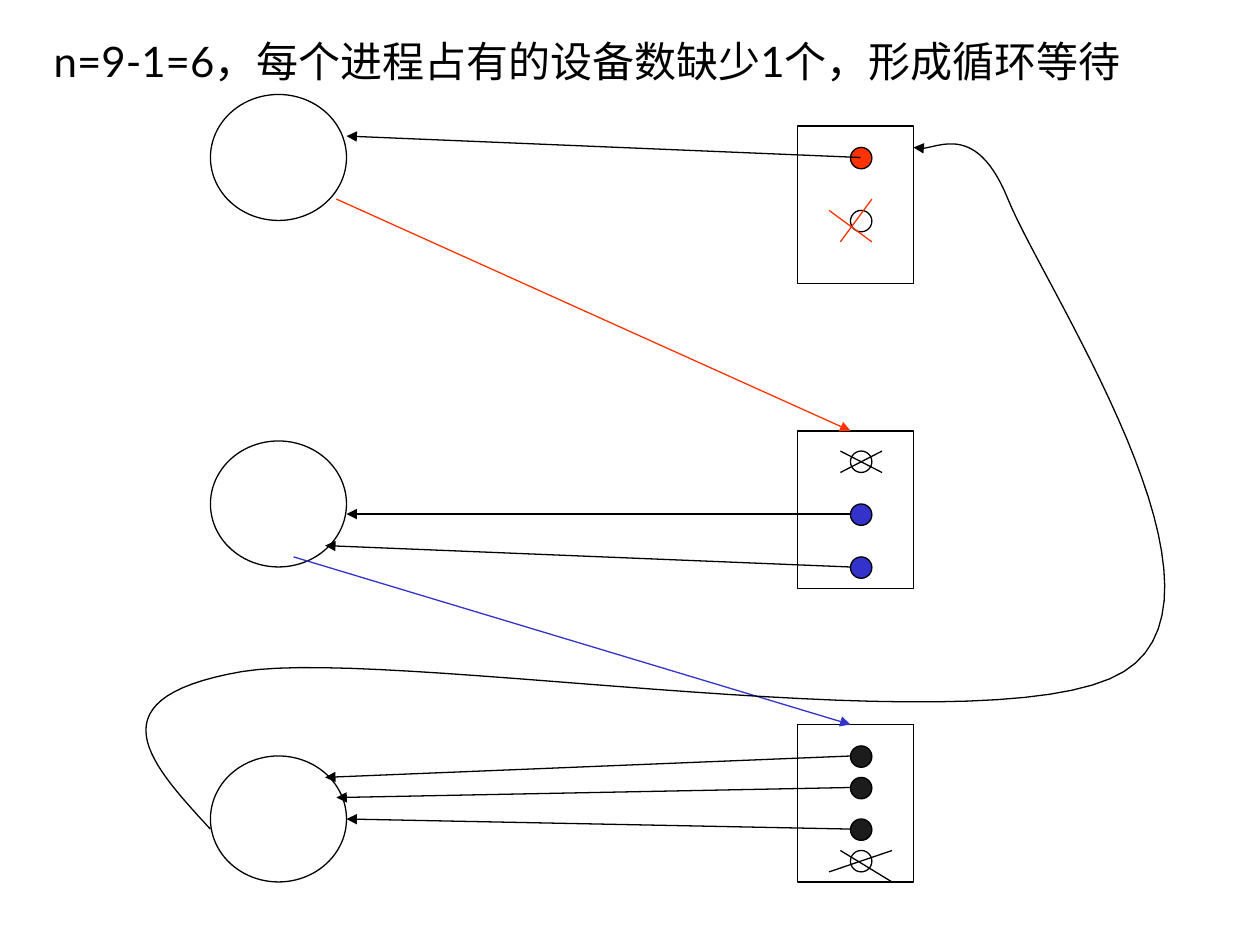
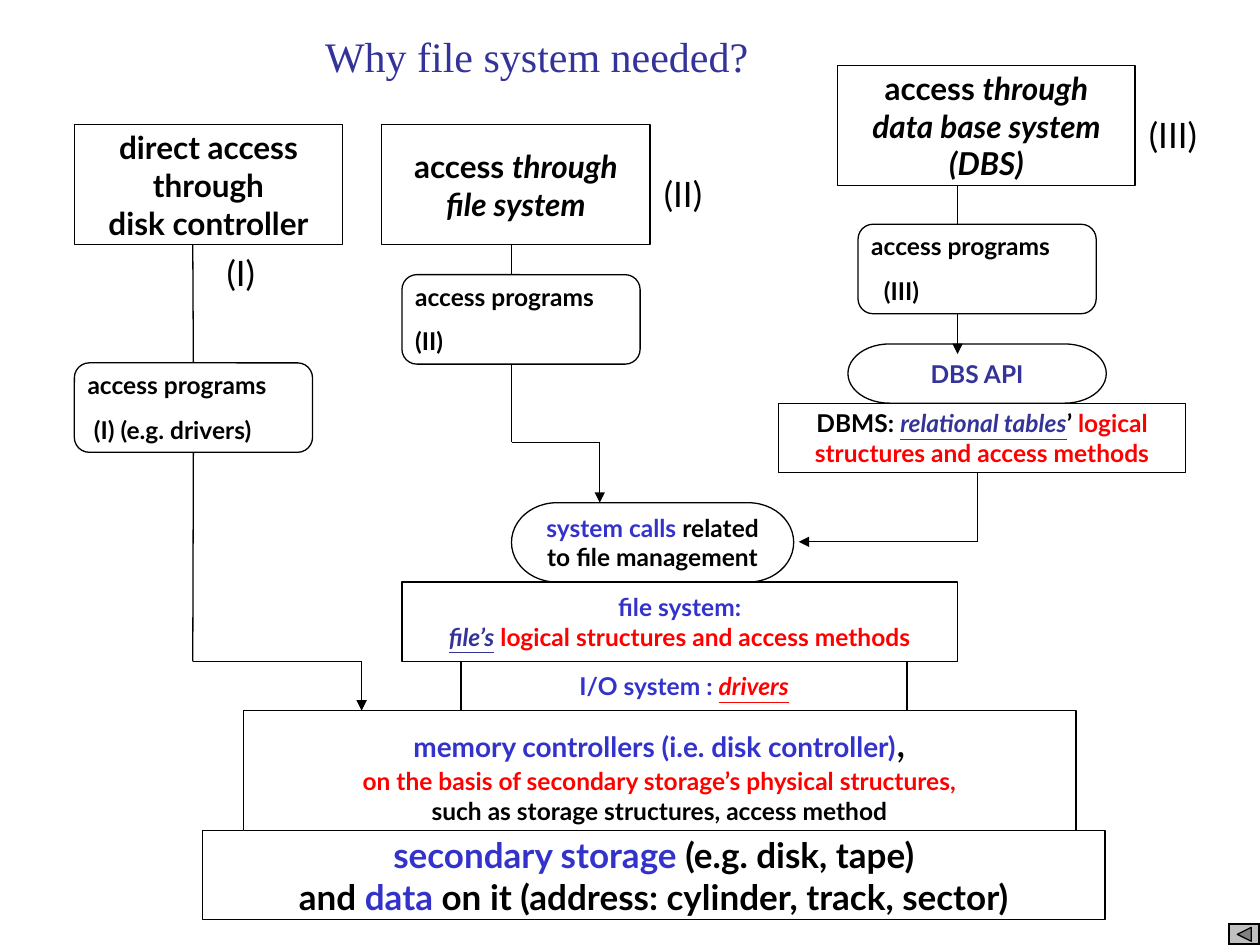
from lxml import etree
from pptx import Presentation
from pptx.dml.color import RGBColor
from pptx.enum.shapes import MSO_CONNECTOR, MSO_SHAPE
from pptx.enum.text import MSO_ANCHOR, MSO_AUTO_SIZE, PP_ALIGN
from pptx.oxml.ns import qn
from pptx.util import Inches, Pt

RECT, ROUND = MSO_SHAPE.RECTANGLE, MSO_SHAPE.ROUNDED_RECTANGLE
OVAL, PILL = MSO_SHAPE.OVAL, MSO_SHAPE.FLOWCHART_TERMINATOR
BEVEL, TRI = MSO_SHAPE.BEVEL, MSO_SHAPE.ISOSCELES_TRIANGLE
LEFT, MID = PP_ALIGN.LEFT, PP_ALIGN.CENTER
STRAIGHT = MSO_CONNECTOR.STRAIGHT

rgb = RGBColor.from_string
BLACK, WHITE, DARK, GREY = "000000", "FFFFFF", "1C1C1C", "C0C0C0"
BLUE, NAVY, RED, FLAME = "3333CC", "333399", "FF0000", "FF3300"
ITAL = {"italic": True}
MARK = {"italic": True, "underline": True}


def box(slide, kind, place, fill=None, paras=(), size=14, bold=True):
    """Add a shape, or a plain text box when kind is None."""
    spot = [Inches(v) for v in place]
    if kind is None:
        shape = slide.shapes.add_textbox(*spot)
    else:
        shape = slide.shapes.add_shape(kind, *spot)
        shape.shadow.inherit = False
        shape.line.color.rgb = rgb(BLACK)
        shape.line.width = Pt(0.75)
        if fill:
            shape.fill.solid()
            shape.fill.fore_color.rgb = rgb(fill)
        else:
            shape.fill.background()
    frame = shape.text_frame
    frame.word_wrap = kind == ROUND
    frame.vertical_anchor = MSO_ANCHOR.MIDDLE
    if kind in (None, ROUND):
        frame.vertical_anchor = MSO_ANCHOR.TOP
    for n, runs in enumerate(paras):
        para = frame.add_paragraph() if n else frame.paragraphs[0]
        para.alignment = LEFT if kind in (None, ROUND) else MID
        for text, color, *more in runs:
            run = para.add_run()
            run.text = text
            look = {"name": "Lato", "size": Pt(size), "bold": bold}
            for part in more:
                look.update(part)
            for key, val in look.items():
                setattr(run.font, key, val)
            run.font.color.rgb = rgb(color)
    return shape


def link(slide, ends, color=BLACK, arrow=False):
    """Add a straight line from (x1, y1) to (x2, y2)."""
    line = slide.shapes.add_connector(STRAIGHT, *[Inches(v) for v in ends])
    line.line.color.rgb = rgb(color)
    line.line.width = Pt(0.75)
    if arrow:
        etree.SubElement(line.line._get_or_add_ln(), qn("a:tailEnd"), type="triangle")
    etree.SubElement(line._element.spPr, qn("a:effectLst"))
    return line


prs = Presentation()
prs.slide_width, prs.slide_height = Inches(10), Inches(7.5)

# Titles
titles = [
    (" n=9-1=6，每个进程占有的设备数缺少1个，形成循环等待", (0.24, 0.23, 8.9, 0.9),
     "Lato", BLACK, LEFT, MSO_ANCHOR.TOP),
    ("Why file system needed?", (0, 0, 8.52, 0.69),
     "Times New Roman", NAVY, MID, MSO_ANCHOR.BOTTOM),
]
slides = []
for text, place, face, color, align, anchor in titles:
    slide = prs.slides.add_slide(prs.slide_layouts[5])
    title = slide.shapes.title
    title.left, title.top, title.width, title.height = [Inches(v) for v in place]
    frame = title.text_frame
    frame.text = text
    frame.word_wrap = True
    frame.auto_size = MSO_AUTO_SIZE.NONE
    frame.vertical_anchor = anchor
    para = frame.paragraphs[0]
    para.alignment = align
    for key, val in {"name": face, "size": Pt(24), "bold": False}.items():
        setattr(para.font, key, val)
    para.font.color.rgb = rgb(color)
    slides.append(slide)
wait, files = slides

# Slide 1: processes, device groups and their devices
for top in (0.75, 3.5, 6):
    box(wait, OVAL, (1.67, top, 1.08, 1))
groups = [
    (1, [(1.17, FLAME), (1.67, None)]),
    (3.42, [(3.58, None), (4, BLUE), (4.42, BLUE)]),
    (5.75, [(5.92, DARK), (6.17, DARK), (6.5, DARK), (6.75, None)]),
]
for top, dots in groups:
    box(wait, RECT, (6.33, top, 0.92, 1.25))
    for y, fill in dots:
        box(wait, OVAL, (6.75, y, 0.17, 0.17), fill)

# Held devices
for ends in [(6.83, 1.25, 2.75, 1.08), (6.75, 4.08, 2.75, 4.08),
             (6.75, 4.5, 2.58, 4.33), (6.75, 6, 2.58, 6.17),
             (6.75, 6.25, 2.67, 6.33), (6.75, 6.58, 2.75, 6.5)]:
    link(wait, ends, arrow=True)

# Requests
link(wait, (2.67, 1.58, 6.75, 3.42), FLAME, True)
link(wait, (2.33, 4.42, 6.75, 5.75), BLUE, True)

# Crosses on missing devices
for color, ends in [
    (FLAME, (6.58, 1.67, 6.92, 1.92)), (FLAME, (6.92, 1.58, 6.67, 1.92)),
    (BLACK, (6.67, 3.58, 7, 3.75)), (BLACK, (7, 3.58, 6.67, 3.75)),
    (BLACK, (6.67, 6.75, 7.08, 7)), (BLACK, (7.08, 6.75, 6.58, 6.92)),
]:
    link(wait, ends, color)

# Curved request that closes the loop, as short steps along cubic curves
start = (1.67, 6.58)
curves = [
    ((1.19, 6.06), (0.71, 5.54), (1.92, 5.33)),
    ((3.12, 5.13), (7.9, 5.96), (8.92, 5.33)),
    ((9.93, 4.71), (8.28, 2.28), (8, 1.58)),
    ((7.72, 0.89), (7.38, 1.24), (7.25, 1.17)),
]
steps = 30
points, a = [], start
for b, c, d in curves:
    for n in range(1, steps + 1):
        t = n / steps
        u = 1 - t
        points.append([Inches(u**3 * p + 3*u*u*t * q + 3*u*t*t * r + t**3 * s)
                       for p, q, r, s in zip(a, b, c, d)])
    a = d
path = wait.shapes.build_freeform(Inches(start[0]), Inches(start[1]))
path.add_line_segments(points, close=False)
loop = path.convert_to_shape()
loop.shadow.inherit = False
loop.fill.background()
loop.line.color.rgb = rgb(BLACK)
loop.line.width = Pt(0.75)
etree.SubElement(loop.line._get_or_add_ln(), qn("a:tailEnd"), type="triangle")

# Slide 2: storage layers
box(files, RECT, (1.61, 6.59, 7.16, 0.71), WHITE, [
    [("secondary storage", BLUE), (" (e.g. disk, tape)", BLACK)],
    [("and ", BLACK), ("data", BLUE),
     (" on it (address: cylinder, track, sector)", BLACK)]], 20)
box(files, RECT, (1.93, 5.64, 6.61, 0.95), WHITE, [
    [("memory controllers (i.e. disk controller)", BLUE, {"size": Pt(16)}),
     (",", BLACK, {"size": Pt(24), "bold": False})],
    [("on the basis of secondary storage’s physical structures,", RED)],
    [("such as storage structures, access method", BLACK)]])
box(files, RECT, (3.66, 5.25, 3.54, 0.39), None, [
    [("I/O system : ", BLUE), ("drivers", RED, MARK)]])
box(files, RECT, (3.19, 4.62, 4.41, 0.63), None, [
    [("file system:", BLUE)],
    [("file’s", NAVY, MARK), (" ", BLACK),
     ("logical structures and access methods", RED)]])
box(files, PILL, (4.06, 3.99, 2.24, 0.63), None, [
    [("system calls ", BLUE), ("related", BLACK)],
    [("to file management", BLACK)]])
box(files, RECT, (6.18, 3.2, 3.23, 0.55), None, [
    [("DBMS: ", BLACK), ("relational tables", NAVY, MARK), ("’ ", BLACK),
     ("logical", RED)],
    [("structures and access methods", RED)]])
box(files, PILL, (6.73, 2.73, 2.05, 0.47), None, [[("DBS API", NAVY)]])

# Three ways of access
through = [("access ", BLACK), ("through", BLACK, ITAL)]
ways = [
    ((0.59, 0.99, 2.13, 0.95), [[("direct access", BLACK)], [("through", BLACK)],
                                [("disk controller", BLACK)]]),
    ((3.03, 0.99, 2.13, 0.95), [through, [("file system", BLACK, ITAL)]]),
    ((6.65, 0.52, 2.36, 0.95), [through, [("data base system", BLACK, ITAL)],
                                [("(DBS)", BLACK, ITAL)]]),
]
for place, paras in ways:
    box(files, RECT, place, WHITE, paras, 18)
for text, place in [("(I)", (1.7, 1.95, 0.46, 0.44)),
                    ("(II)", (5.17, 1.32, 0.55, 0.44)),
                    ("(III)", (9.02, 0.85, 0.65, 0.44))]:
    box(files, None, place, None, [[(text, BLACK)]], 20, False)

# Access programs
progs = []
for x, y, text, dent in [(0.59, 2.88, "(I) (e.g. drivers)", 0.05),
                         (3.19, 2.18, "(II)", 0), (6.81, 1.78, "(III)", 0.1)]:
    prog = box(files, ROUND, (x, y, 1.89, 0.71), None,
               [[("access programs", BLACK)], [(text, BLACK)]])
    frame = prog.text_frame
    frame.margin_left, frame.margin_top = Inches(0.07), Inches(0.02)
    last = frame.paragraphs[1]
    last.space_before = Pt(8.8)
    last._p.get_or_add_pPr().set("marL", str(Inches(dent)))
    progs.append(prog)

# Flow lines
into = link(files, (1.53, 1.94, 1.53, 2.88))
into.end_connect(progs[0], 0)
down = link(files, (1.53, 3.59, 1.53, 5.25))
down.begin_connect(progs[0], 2)
for ends in [(1.53, 5.25, 2.87, 5.25), (4.06, 1.94, 4.06, 2.18),
             (4.06, 2.89, 4.06, 3.51), (4.06, 3.51, 4.76, 3.51),
             (7.6, 1.47, 7.6, 1.78), (7.76, 3.75, 7.76, 4.3)]:
    link(files, ends)
for ends in [(2.87, 5.25, 2.87, 5.64), (4.76, 3.51, 4.76, 3.99),
             (7.6, 2.49, 7.6, 2.81), (7.76, 4.3, 6.34, 4.3)]:
    link(files, ends, arrow=True)

# Back button
back = box(files, BEVEL, (9.75, 7.33, 0.25, 0.17), GREY)
back.adjustments[0] = 0.06
tip = box(files, TRI, (9.82, 7.36, 0.11, 0.11), "808080")
tip.rotation = 270

prs.save("out.pptx")
